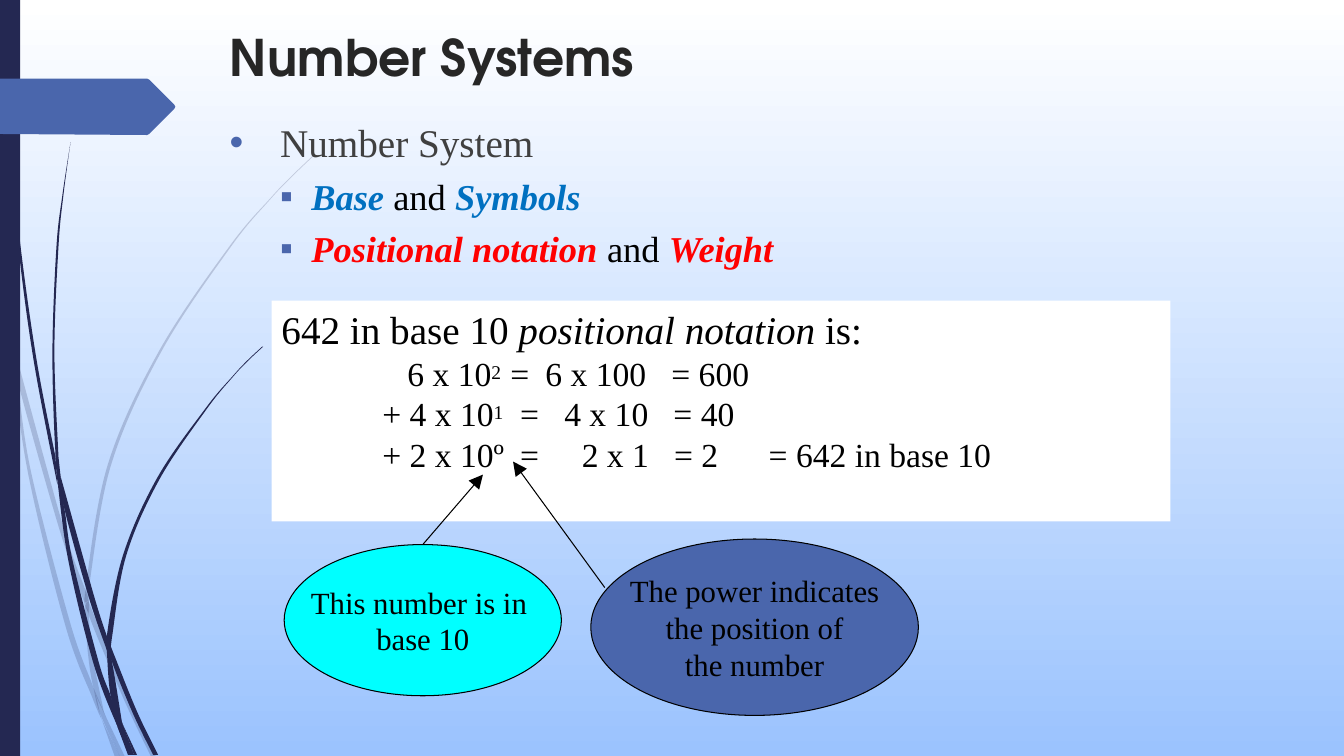
from dataclasses import dataclass
from lxml.etree import SubElement
from pptx import Presentation
from pptx.dml.color import RGBColor
from pptx.enum.shapes import MSO_CONNECTOR, MSO_SHAPE
from pptx.enum.text import MSO_ANCHOR, PP_ALIGN
from pptx.oxml.ns import qn
from pptx.util import Pt


@dataclass(frozen=True)
class Theme:
    """Colours, fonts and type sizes."""
    navy: str = "242852"
    blue: str = "4A66AC"
    sky: str = "9BC3FE"
    cyan: str = "00FFFF"
    white: str = "FFFFFF"
    black: str = "000000"
    dark: str = "262626"
    grey: str = "404040"
    azure: str = "0070C0"
    red: str = "FF0000"
    head: str = "TeX Gyre Adventor"
    body: str = "Times New Roman"
    title: int = 36
    large: int = 28
    mid: int = 26
    sums: int = 24
    note: int = 22


T = Theme()
GRID = 0.72
PALE = [
    [[(11, 350), (9, 322), (0, 282)], [(0, 299), (10, 344), (11, 350)]],
    [[(14, 345), (17, 376), (58, 522), (84, 599)], [(85, 586), (62, 520), (14, 345)]],
    [[(88, 596), (88, 610), (123, 694), (150, 751)],
     [(155, 751), (127, 692), (92, 607), (88, 596)]],
    [[(105, 711), (119, 751)], [(124, 751), (105, 711)]],
    [[(11, 350), (28, 470), (65, 621), (92, 693), (101, 714)],
     [(99, 707), (93, 683), (70, 619), (31, 469), (17, 376), (11, 350)]],
    [[(84, 599), (87, 646), (93, 683), (105, 711)],
     [(103, 706), (91, 646), (88, 610), (84, 599)]],
    [[(312, 153), (289, 175), (268, 197), (228, 244), (158, 348), (107, 461),
      (85, 584), (88, 596)],
     [(88, 584), (110, 462), (160, 349), (229, 245), (268, 198), (290, 175), (312, 154)]],
    [[(101, 714), (114, 751)], [(119, 751), (101, 714)]],
    [[(85, 586), (84, 599), (88, 608)], [(88, 610), (88, 596), (85, 586)]],
    [[(93, 683), (99, 707), (119, 751)], [(105, 711), (93, 683)]],
]
DARK = [
    [[(3, 0), (7, 110), (17, 233), (33, 355), (57, 481)],
     [(55, 453), (36, 355), (19, 232), (8, 109), (4, 0)]],
    [[(60, 472), (64, 505), (88, 592), (106, 645)], [(106, 631), (93, 590), (60, 472)]],
    [[(110, 641), (111, 656), (132, 708), (152, 749)],
     [(157, 749), (136, 706), (113, 649), (110, 641)]],
    [[(57, 477), (68, 557), (93, 659), (117, 722)],
     [(116, 717), (110, 691), (98, 657), (72, 556), (64, 505), (57, 477)]],
    [[(70, 141), (62, 193), (56, 245), (52, 349), (55, 449), (60, 472)],
     [(58, 453), (54, 349), (58, 245), (63, 193), (70, 141)]],
    [[(122, 719), (133, 749)], [(136, 749), (122, 719)]],
    [[(55, 449), (57, 477), (64, 505)], [(60, 472), (55, 449)]],
    [[(260, 344), (245, 358), (231, 373), (204, 405), (156, 474), (122, 551),
      (106, 631), (110, 641)],
     [(111, 633), (125, 552), (158, 476), (205, 406), (231, 374), (245, 359), (261, 344)]],
    [[(117, 722), (127, 749)], [(131, 749), (117, 722)]],
    [[(106, 645), (110, 691), (122, 719)], [(121, 716), (111, 656), (106, 645)]],
    [[(106, 631), (106, 645), (111, 656)], [(110, 641), (106, 631)]],
    [[(110, 691), (117, 722), (130, 749)], [(133, 749), (122, 719), (110, 691)]],
]
TAB = [[(0, 78)], [(146, 78)], [(148, 79)], [(173, 104)], [(174, 106)],
       [(173, 108)], [(148, 133)], [(146, 134)], [(0, 133)]]


def paint(shape, fill, line=None):
    """Give a shape its fill and outline."""
    shape.shadow.inherit = False
    shape.fill.solid()
    shape.fill.fore_color.rgb = RGBColor.from_string(fill)
    if line:
        shape.line.color.rgb = RGBColor.from_string(line)
        shape.line.width = Pt(0.75)
    else:
        shape.line.fill.background()
    return shape


def write(para, text, size, color, bold=False, slant=False, font=T.body):
    """Append a formatted run."""
    run = para.add_run()
    run.text = text
    run.font.size, run.font.name = Pt(size), font
    run.font.bold, run.font.italic = bold, slant
    run.font.color.rgb = RGBColor.from_string(color)
    return run


def line_of(frame, index):
    """Return the paragraph at an index, adding it if needed."""
    return frame.paragraphs[0] if index == 0 else frame.add_paragraph()


def bend(shape, sides):
    """Turn the straight steps within each side into smooth curves."""
    marks = list(shape._element.iter(qn("a:pt")))
    spots = [(int(m.get("x")), int(m.get("y"))) for m in marks]
    first = 0
    for side in sides:
        last = first + len(side) - 1
        for i in range(first, last):
            a, b, c, d = (spots[min(max(n, first), last)] for n in range(i - 1, i + 3))
            step = marks[i + 1].getparent()
            step.tag = qn("a:cubicBezTo")
            for p, q, r in ((b, c, a), (c, b, d)):
                x, y = (round(u + (v - w) / 6) for u, v, w in zip(p, q, r))
                SubElement(step, qn("a:pt"), x=str(x), y=str(y))
            step.append(marks[i + 1])
        first = last + 1


def blade(slide, box, sides, fill, pale=False):
    """Draw one closed outline from its sides."""
    rim = [(Pt(box[0] + x * GRID), Pt(box[1] + y * GRID)) for s in sides for x, y in s]
    pen = slide.shapes.build_freeform(*rim[0], scale=1.0)
    pen.add_line_segments(rim[1:], close=True)
    shape = paint(pen.convert_to_shape(), fill)
    bend(shape, sides)
    if pale:
        tint = shape._element.spPr.find(".//" + qn("a:srgbClr"))
        SubElement(tint, qn("a:alpha"), val="20000")


def edge(slide, box):
    """Draw the grass, the bar and the arrow tab at the left."""
    for group in (PALE, DARK):
        for sides in group:
            blade(slide, box, sides, T.navy, group is PALE)
    bar = map(Pt, (box[0], box[1], 14.4, box[3]))
    paint(slide.shapes.add_shape(MSO_SHAPE.RECTANGLE, *bar), T.navy)
    blade(slide, box, TAB, T.blue)


def title(slide, box):
    """Write the heading."""
    frame = slide.shapes.add_textbox(*map(Pt, box)).text_frame
    frame.word_wrap, frame.vertical_anchor = True, MSO_ANCHOR.MIDDLE
    write(frame.paragraphs[0], "Number Systems", T.title, T.dark, True, font=T.head)


def points(slide, box):
    """Write the bulleted list."""
    frame = slide.shapes.add_textbox(*map(Pt, box)).text_frame
    frame.word_wrap = True
    rows = [
        [("Number System", T.large, T.grey)],
        [("Base", T.mid, T.azure, True, True), (" and ", T.mid, T.black),
         ("Symbols", T.mid, T.azure, True, True)],
        [("Positional notation ", T.mid, T.red, True, True),
         ("and ", T.mid, T.black), ("Weight", T.mid, T.red, True, True)],
    ]
    for i, row in enumerate(rows):
        para = line_of(frame, i)
        para.level = min(i, 1)
        left, hang, gap, mark = (58.3, 22.3, 6, "▪") if i else (36, 36, 10, "•")
        para.space_before = Pt(gap)
        props = para._p.get_or_add_pPr()
        props.set("marL", str(Pt(left)))
        props.set("indent", str(-Pt(hang)))
        SubElement(SubElement(props, qn("a:buClr")), qn("a:srgbClr"), val=T.blue)
        SubElement(props, qn("a:buFont"), typeface="Arial")
        SubElement(props, qn("a:buChar"), char=mark)
        for part in row:
            write(para, *part)


def sums(slide, box):
    """Write the worked example on a white panel."""
    panel = slide.shapes.add_shape(MSO_SHAPE.RECTANGLE, *map(Pt, box))
    frame = paint(panel, T.white).text_frame
    frame.word_wrap, frame.vertical_anchor = True, MSO_ANCHOR.TOP
    for i, text in enumerate(("642 in base 10 ", "positional notation", " is:")):
        write(frame.paragraphs[0], text, T.large, T.black, slant=i == 1)
    rows = [
        ("\t6 x 10", "2", "\t=\t6 x 100\t= 600", (90, 163.5, 188.5, 278.5)),
        ("\t+ 4 x 10", "1", "\t=\t4 x 10\t= 40", (72, 170.5, 202, 280)),
        ("\t+ 2 x 10º", "", "\t=\t2 x 1\t= 2\t= 642 in base 10",
         (72, 170.5, 214.5, 280.5, 348)),
    ]
    for base, power, rest, stops in rows:
        para = frame.add_paragraph()
        tabs = SubElement(para._p.get_or_add_pPr(), qn("a:tabLst"))
        for stop in stops:
            SubElement(tabs, qn("a:tab"), pos=str(Pt(stop)), algn="l")
        write(para, base, T.sums, T.black)
        if power:
            write(para, power, T.sums, T.black).font._element.set("baseline", "20000")
        write(para, rest, T.sums, T.black)
    for para in frame.paragraphs:
        para.alignment = PP_ALIGN.LEFT


def note(slide, box, fill, lines, start, tip):
    """Draw an oval note and its arrow, with ends measured from the box."""
    ends = [Pt(a + b) for a, b in zip(box[:2] * 2, start + tip)]
    arrow = slide.shapes.add_connector(MSO_CONNECTOR.STRAIGHT, *ends)
    arrow.line.color.rgb = RGBColor.from_string(T.black)
    arrow.line.width = Pt(0.75)
    SubElement(arrow.line._get_or_add_ln(), qn("a:tailEnd"), type="triangle", w="lg", len="lg")
    SubElement(arrow._element.spPr, qn("a:effectLst"))
    oval = slide.shapes.add_shape(MSO_SHAPE.OVAL, *map(Pt, box))
    frame = paint(oval, fill, T.black).text_frame
    frame.word_wrap, frame.vertical_anchor = False, MSO_ANCHOR.MIDDLE
    for i, text in enumerate(lines):
        para = line_of(frame, i)
        para.alignment = PP_ALIGN.CENTER
        write(para, text, T.note, T.black)


def main():
    """Build and save the slide."""
    deck = Presentation()
    deck.slide_width, deck.slide_height = Pt(960), Pt(540)
    slide = deck.slides.add_slide(deck.slide_layouts[6])
    back = slide.background.fill
    back.gradient()
    back.gradient_angle = 270
    for stop, color in zip(back.gradient_stops, (T.white, T.sky)):
        stop.color.rgb = RGBColor.from_string(color)
    edge(slide, (0, 0, 225, 540))
    title(slide, (157, 0, 702, 80.6))
    points(slide, (157, 81.2, 745, 439))
    sums(slide, (194, 214.8, 642, 157.7))
    note(slide, (203, 389, 198, 108), T.cyan,
         ("This number is in ", "base 10"), (64 + 35, 0), (142, -50))
    note(slide, (422, 385, 234, 126), T.blue,
         ("The power indicates", " the position of ", "the number"),
         (10, 34.7), (-55.5, -55.3))
    deck.save("out.pptx")


if __name__ == "__main__":
    main()
